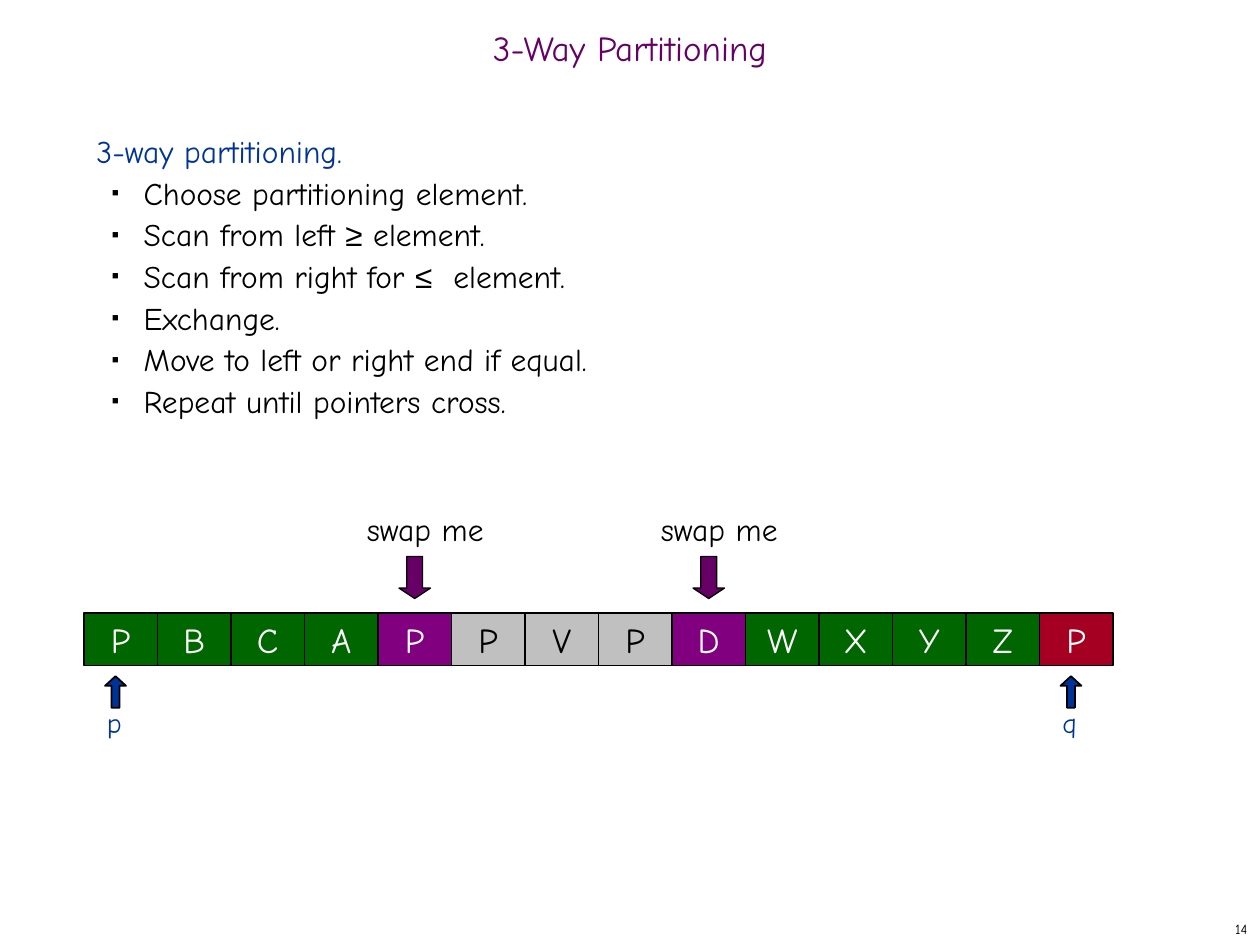
from lxml import etree
from pptx import Presentation, util as u
from pptx.dml.color import RGBColor
from pptx.enum import shapes, text
from pptx.oxml.ns import qn

PX = 7620
COLORS = {
    "purple": "660066", "blue": "003399", "black": "000000", "white": "FFFFFF",
    "green": "006600", "violet": "800080", "gray": "C0C0C0", "red": "A50021",
    "ink": "010000",
}
KIND = shapes.MSO_SHAPE
ALIGN = text.PP_ALIGN
MIDDLE = text.MSO_ANCHOR.MIDDLE


def write(paragraph, words, size, color, font="Comic Neue", **layout):
    for key, value in layout.items():
        setattr(paragraph, key, value)
    run = paragraph.add_run()
    run.text = words
    for key, value in {"size": u.Pt(size), "name": font}.items():
        setattr(run.font, key, value)
    run.font.color.rgb = RGBColor.from_string(COLORS[color])


def draw(parent, kind, box, fill, weight=0.75, adjustments=()):
    figure = parent.add_shape(kind, *[n * PX for n in box])
    figure.shadow.inherit = False
    figure.fill.solid()
    figure.fill.fore_color.rgb = RGBColor.from_string(COLORS[fill])
    figure.line.color.rgb = RGBColor.from_string(COLORS["black"])
    figure.line.width = u.Pt(weight)
    for i, value in enumerate(adjustments):
        figure.adjustments[i] = value
    return figure


deck = Presentation()
deck.slide_width, deck.slide_height = 1200 * PX, 900 * PX
slide = deck.slides.add_slide(deck.slide_layouts[5])

title = slide.shapes.title
for key, value in {"left": 0, "top": 20, "width": 1200, "height": 60}.items():
    setattr(title, key, value * PX)
title.text_frame.vertical_anchor = MIDDLE
write(title.text_frame.paragraphs[0], "3-Way Partitioning", 20, "purple",
      alignment=ALIGN.CENTER, line_spacing=0.7)

steps = [
    ["Choose partitioning element."],
    ["Scan from left ", "≥", " element."],
    ["Scan from right for ", "≤", "  element."],
    ["Exchange."],
    ["Move to left or right end if equal."],
    ["Repeat until pointers cross."],
]
outline = slide.shapes.add_textbox(80 * PX, 120 * PX, 1030 * PX, 710 * PX).text_frame
outline.word_wrap = True
write(outline.paragraphs[0], "3-way partitioning.", 18, "blue", space_before=u.Pt(2.2))
for step in steps:
    line = outline.add_paragraph()
    for words in step:
        write(line, words, 18, "black", "Arial" if words in "≥≤" else "Comic Neue",
              level=1, space_before=u.Pt(2.2))
    bullet = line._p.get_or_add_pPr()
    for key, value in {"marL": 45 * PX, "indent": -30 * PX}.items():
        bullet.set(key, str(value))
    color = etree.SubElement(bullet, qn("a:buClr"))
    etree.SubElement(color, qn("a:srgbClr"), val=COLORS["black"])
    etree.SubElement(bullet, qn("a:buSzPct"), val="35000")
    etree.SubElement(bullet, qn("a:buFont"), typeface="Arial")
    etree.SubElement(bullet, qn("a:buChar"), char="■")

letters = "PBCAPPVPDWXYZP"
fills = ["green"] * 4 + ["violet"] + ["gray"] * 3 + ["violet"] + ["green"] * 4 + ["red"]
for i, (letter, fill) in enumerate(zip(letters, fills)):
    cell = draw(slide.shapes, KIND.RECTANGLE, (80 + 70 * i, 584, 70, 50), fill)
    cell.text_frame.word_wrap = False
    cell.text_frame.vertical_anchor = MIDDLE
    write(cell.text_frame.paragraphs[0], letter, 20,
          "black" if fill == "gray" else "white", alignment=ALIGN.CENTER)

for pointer, left in {"p": 90, "q": 1000}.items():
    label = slide.shapes.add_textbox(left * PX, 666 * PX, 40 * PX, 44 * PX).text_frame
    label.word_wrap = True
    write(label.paragraphs[0], pointer, 16, "blue", space_before=u.Pt(10))
    draw(slide.shapes, KIND.UP_ARROW, (left + 10, 644, 20, 30), "blue", 1, (0.38, 0.46))

for left in (320, 600):
    marker = slide.shapes.add_group_shape().shapes
    draw(marker, KIND.DOWN_ARROW, (left + 60, 530, 30, 40), "purple",
         adjustments=(0.5, 0.33))
    label = marker.add_textbox(left * PX, 480 * PX, 170 * PX, 48 * PX).text_frame
    label.word_wrap = True
    write(label.paragraphs[0], "swap me", 18, "ink",
          alignment=ALIGN.CENTER, space_before=u.Pt(11.2))

page = slide.shapes.add_textbox(950 * PX, 870 * PX, 250 * PX, 30 * PX).text_frame
page.word_wrap = True
page.vertical_anchor = MIDDLE
write(page.paragraphs[0], "14", 8, "black", alignment=ALIGN.RIGHT)

deck.save("out.pptx")
